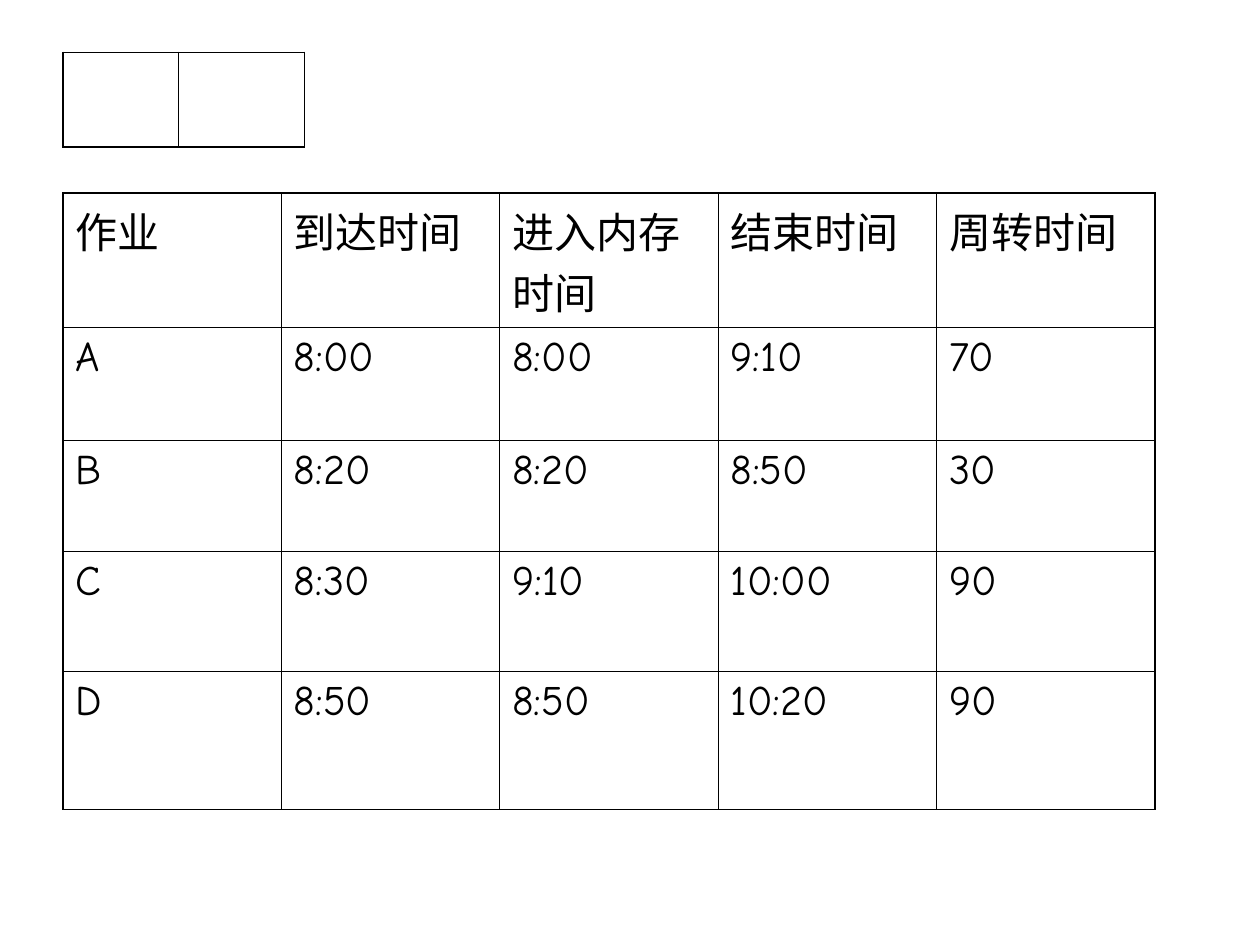
from dataclasses import dataclass

import pptx
import pptx.dml.color
import pptx.enum.lang
import pptx.oxml
import pptx.oxml.ns
import pptx.util


@dataclass(frozen=True)
class Theme:
    ink: str = "000000"
    font: str = "Comic Neue"
    text_size: int = 24
    space_before: int = 6
    inner_line: float = 0.45
    outer_line: float = 1.08


@dataclass(frozen=True)
class TableSpec:
    left: float
    top: float
    cols: tuple[float, ...]
    rows: tuple[float, ...]
    texts: tuple[tuple[str, ...], ...]


THEME = Theme()
GRID_COLS, GRID_ROWS = 120, 90
WIDTH, HEIGHT = pptx.util.Inches(10), pptx.util.Inches(7.5)

TABLES = (
    TableSpec(6, 5, (11, 12), (9,), (("", ""),)),
    TableSpec(
        6, 18.4, (20.8,) * 5, (10.9, 10.7, 10.6, 11.4, 13.2),
        (
            ("作业", "到达时间", "进入内存时间", "结束时间", "周转时间"),
            ("A", "8:00", "8:00", "9:10", "70"),
            ("B", "8:20", "8:20", "8:50", "30"),
            ("C", "8:30", "9:10", "10:00", "90"),
            ("D", "8:50", "8:50", "10:20", "90"),
        ),
    ),
)


def across(cols: float) -> int:
    return round(WIDTH * cols / GRID_COLS)


def down(rows: float) -> int:
    return round(HEIGHT * rows / GRID_ROWS)


def set_format(target, values: dict) -> None:
    for name, value in values.items():
        setattr(target, name, value)


def draw_borders(cell, outer: dict[str, bool]) -> None:
    tc_pr = cell._tc.get_or_add_tcPr()
    for side, is_outer in outer.items():
        width = pptx.util.Pt(THEME.outer_line if is_outer else THEME.inner_line)
        tc_pr.append(pptx.oxml.parse_xml(
            f'<a:ln{side} {pptx.oxml.ns.nsdecls("a")} w="{int(width)}">'
            f'<a:solidFill><a:srgbClr val="{THEME.ink}"/></a:solidFill></a:ln{side}>'
        ))


def write_text(cell, text: str) -> None:
    p = cell.text_frame.paragraphs[0]
    p.space_before = pptx.util.Pt(THEME.space_before)
    r = p.add_run()
    r.text = text
    set_format(r.font, {
        "name": THEME.font,
        "size": pptx.util.Pt(THEME.text_size),
        "bold": False,
        "language_id": pptx.enum.lang.MSO_LANGUAGE_ID.SIMPLIFIED_CHINESE,
    })
    r.font.color.rgb = pptx.dml.color.RGBColor.from_string(THEME.ink)


def draw_table(s, spec: TableSpec) -> None:
    n_rows, n_cols = len(spec.rows), len(spec.cols)
    table = s.shapes.add_table(
        n_rows, n_cols, across(spec.left), down(spec.top),
        across(sum(spec.cols)), down(sum(spec.rows)),
    ).table
    set_format(table, {"first_row": False, "horz_banding": False})
    for column, width in zip(table.columns, spec.cols):
        column.width = across(width)
    for row, height in zip(table.rows, spec.rows):
        row.height = down(height)
    for i, texts in enumerate(spec.texts):
        for j, text in enumerate(texts):
            cell = table.cell(i, j)
            draw_borders(cell, {
                "L": j == 0, "R": j == n_cols - 1,
                "T": i == 0, "B": i == n_rows - 1,
            })
            cell.fill.background()
            if text:
                write_text(cell, text)


def main() -> None:
    prs = pptx.Presentation()
    set_format(prs, {"slide_width": WIDTH, "slide_height": HEIGHT})
    s = prs.slides.add_slide(prs.slide_layouts[6])
    for spec in TABLES:
        draw_table(s, spec)
    prs.save("out.pptx")


if __name__ == "__main__":
    main()
